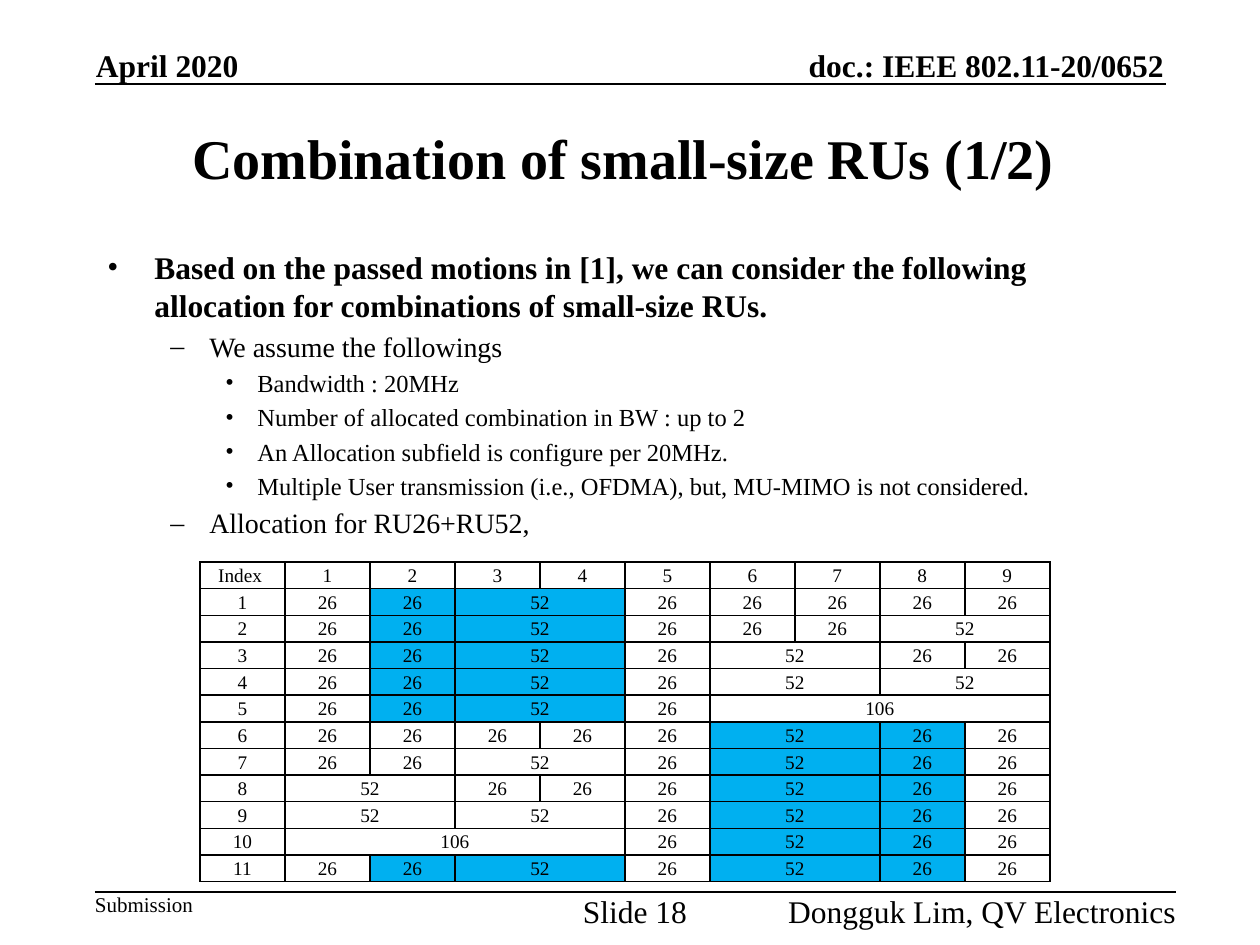
from lxml import etree
from pptx import Presentation
from pptx import util as u
from pptx.dml.color import RGBColor
from pptx.enum import shapes, text
from pptx.oxml import parse_xml
from pptx.oxml.ns import nsdecls, qn

PX = 914400 / 126
FONT = "Times New Roman"
COLORS = {"ink": "000000", "combination": "00B0F0"}
ALIGN = text.PP_ALIGN
ANCHOR = text.MSO_ANCHOR

LEVELS = [
    {"indent": 47, "margin": 47, "bullet": "•", "size": 18, "bold": True},
    {"indent": 39, "margin": 102, "bullet": "–", "size": 16, "bold": False},
    {"indent": 32, "margin": 150, "bullet": "•", "size": 14, "bold": False},
]
BODY = [
    (0, "Based on the passed motions in [1], we can consider the following "
        "allocation for combinations of small-size RUs."),
    (1, "We assume the followings"),
    (2, "Bandwidth : 20MHz"),
    (2, "Number of allocated combination in BW : up to 2"),
    (2, "An Allocation subfield is configure per 20MHz."),
    (2, "Multiple User transmission (i.e., OFDMA), but, MU-MIMO is not considered."),
    (1, "Allocation for RU26+RU52,"),
]

RU_SPANS = {"26": 1, "52": 2, "106": 4}
PLAIN_HALVES = ["26 26 26 26", "26 26 52", "52 26 26", "52 52", "106"]
LEFT_COMBINATION = "26 26* 52*"
RIGHT_COMBINATION = "52* 26* 26"
HALF_PAIRS = (
    [(LEFT_COMBINATION, half) for half in PLAIN_HALVES]
    + [(half, RIGHT_COMBINATION) for half in PLAIN_HALVES]
    + [(LEFT_COMBINATION, RIGHT_COMBINATION)]
)


def emu(px):
    """Turn px into EMU."""
    return u.Emu(round(px * PX))


def apply(target, values):
    """Set every attribute named in values on the target."""
    for name, value in values.items():
        setattr(target, name, value)


def style_font(paragraph, size, bold=False):
    """Give a paragraph the slide font in black."""
    apply(paragraph.font, {"name": FONT, "size": u.Pt(size), "bold": bold})
    paragraph.font.color.rgb = RGBColor.from_string(COLORS["ink"])


def add_frame(slide, box, **values):
    """Add a text box and return its frame with the given format values."""
    frame = slide.shapes.add_textbox(*map(emu, box)).text_frame
    apply(frame, values)
    return frame


def add_label(slide, box, words, size, bold=False, align=ALIGN.LEFT, anchor=ANCHOR.TOP):
    """Add a one-line label without insets that grows with its text."""
    frame = add_frame(
        slide, box, margin_left=0, margin_top=0, margin_right=0, margin_bottom=0,
        word_wrap=False, vertical_anchor=anchor,
        auto_size=text.MSO_AUTO_SIZE.SHAPE_TO_FIT_TEXT,
    )
    paragraph = frame.paragraphs[0]
    apply(paragraph, {"text": words, "alignment": align})
    style_font(paragraph, size, bold)


def add_rule(slide, left, top, width):
    """Add a thin horizontal line without a shadow."""
    line = slide.shapes.add_connector(
        shapes.MSO_CONNECTOR.STRAIGHT, *map(emu, (left, top, left + width, top)))
    line.line.width = u.Pt(1)
    line.line.color.rgb = RGBColor.from_string(COLORS["ink"])
    etree.SubElement(line._element.spPr, qn("a:effectLst"))


def add_header(slide, left, top, width, height):
    """Add the date, document number and the line below them."""
    add_label(slide, (left + 1, top, 144, height), "April 2020", 18, True,
              anchor=ANCHOR.BOTTOM)
    add_label(slide, (left + width - 425, top, 423, height),
              "doc.: IEEE 802.11-20/0652", 18, True, ALIGN.RIGHT, ANCHOR.BOTTOM)
    add_rule(slide, left, top + height, width)


def add_title(slide, *box):
    """Add the centred slide title."""
    frame = add_frame(slide, box, word_wrap=True, vertical_anchor=ANCHOR.MIDDLE)
    paragraph = frame.paragraphs[0]
    apply(paragraph, {"text": "Combination of small-size RUs (1/2) ",
                      "alignment": ALIGN.CENTER})
    style_font(paragraph, 32, True)


def add_body(slide, *box):
    """Add the bulleted list."""
    frame = add_frame(slide, box, word_wrap=True)
    for index, (depth, words) in enumerate(BODY):
        level = LEVELS[depth]
        paragraph = frame.add_paragraph() if index else frame.paragraphs[0]
        apply(paragraph, {"text": words, "level": depth})
        properties = paragraph._p.get_or_add_pPr()
        properties.set("marL", str(emu(level["margin"])))
        properties.set("indent", str(emu(-level["indent"])))
        if index:
            spacing = etree.SubElement(properties, qn("a:spcBef"))
            etree.SubElement(spacing, qn("a:spcPct"), val="20000")
        etree.SubElement(properties, qn("a:buFont"), typeface=FONT)
        etree.SubElement(properties, qn("a:buChar"), char=level["bullet"])
        style_font(paragraph, level["size"], level["bold"])


def fill_cell(cell, words, marked=False):
    """Write a centred value and colour the cell if it is marked."""
    apply(cell, {"margin_left": emu(9), "margin_right": emu(9), "margin_top": 0,
                 "margin_bottom": 0, "vertical_anchor": ANCHOR.MIDDLE})
    paragraph = cell.text_frame.paragraphs[0]
    apply(paragraph, {"text": words, "alignment": ALIGN.CENTER, "line_spacing": 1.07})
    style_font(paragraph, 11)
    if marked:
        cell.fill.solid()
        cell.fill.fore_color.rgb = RGBColor.from_string(COLORS["combination"])


def border_cell(cell):
    """Draw a thin line on all four sides of a cell."""
    properties = cell._tc.get_or_add_tcPr()
    for position, side in enumerate("LRTB"):
        properties.insert(position, parse_xml(
            f'<a:ln{side} {nsdecls("a")} w="12700"><a:solidFill>'
            f'<a:srgbClr val="{COLORS["ink"]}"/></a:solidFill></a:ln{side}>'))


def add_allocation_table(slide, left, top, width, height):
    """Add the table of RU allocations with merged cells for wide RUs."""
    row_count, column_count = len(HALF_PAIRS) + 1, 10
    table = slide.shapes.add_table(
        row_count, column_count, *map(emu, (left, top, width, height))).table
    apply(table, {"first_row": False, "horz_banding": False})
    for column in table.columns:
        column.width = emu(width / column_count)
    for row in table.rows:
        row.height = emu(height / row_count)
    for cell in table.iter_cells():
        cell.fill.background()
        border_cell(cell)
    for column in range(column_count):
        fill_cell(table.cell(0, column), str(column) if column else "Index ")
    for row, (left_half, right_half) in enumerate(HALF_PAIRS, 1):
        fill_cell(table.cell(row, 0), str(row))
        column = 1
        for unit in f"{left_half} 26 {right_half}".split():
            size = unit.rstrip("*")
            cell, span = table.cell(row, column), RU_SPANS[size]
            if span > 1:
                cell.merge(table.cell(row, column + span - 1))
            fill_cell(cell, size, unit != size)
            column += span


def add_footer(slide, left, top, width, height):
    """Add the line, the document status, slide number and author."""
    add_rule(slide, left, top, width)
    add_label(slide, (left, top, 110, height), "Submission", 12)
    add_label(slide, (left + 480, top, 120, height), "Slide 18", 18, align=ALIGN.CENTER)
    add_label(slide, (left + width - 420, top, 420, height),
              "Dongguk Lim, QV Electronics", 18, align=ALIGN.RIGHT)


def main():
    """Build the slide and save it."""
    presentation = Presentation()
    apply(presentation, {"slide_width": emu(1260), "slide_height": emu(945)})
    slide = presentation.slides.add_slide(presentation.slide_layouts[6])
    add_header(slide, 95, 45, 1071, 39)
    add_title(slide, 95, 94, 1071, 126)
    add_body(slide, 95, 242, 1071, 599)
    add_allocation_table(slide, 200, 562, 850, 320)
    add_footer(slide, 95, 892, 1081, 36)
    presentation.save("out.pptx")


if __name__ == "__main__":
    main()
